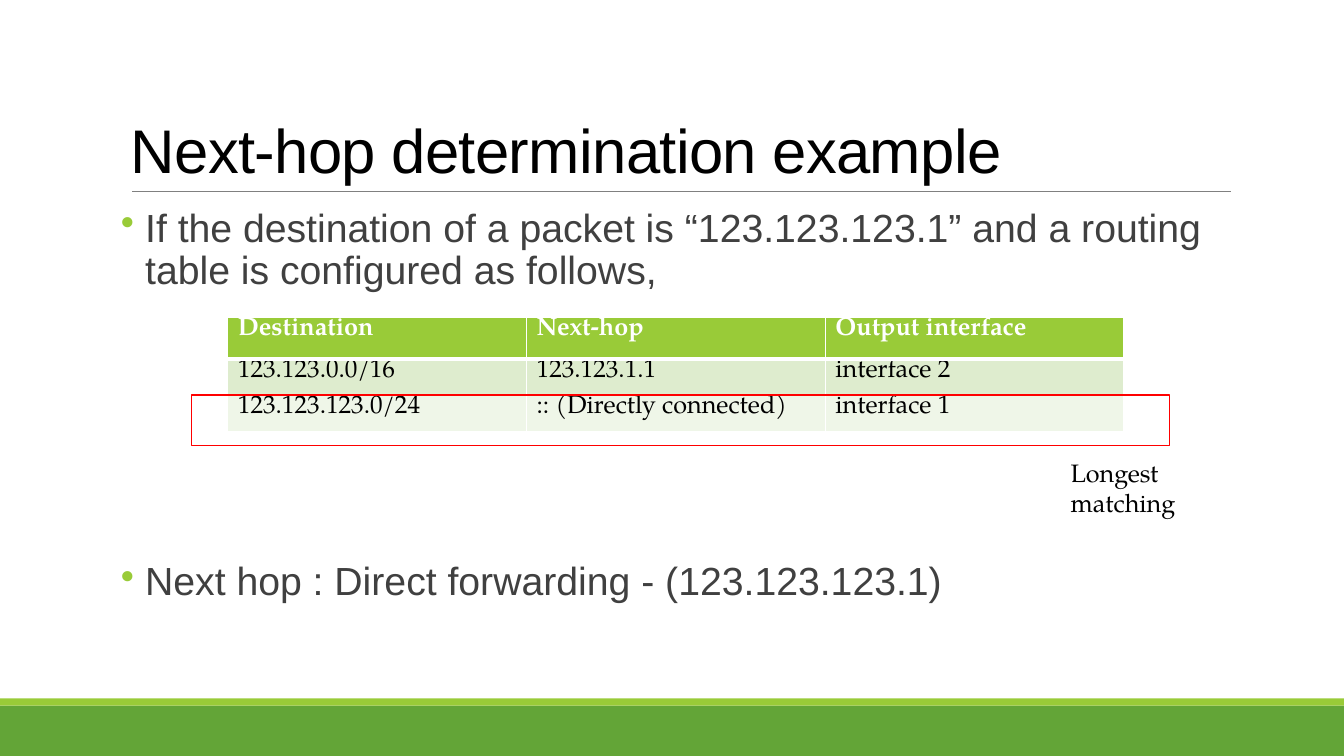
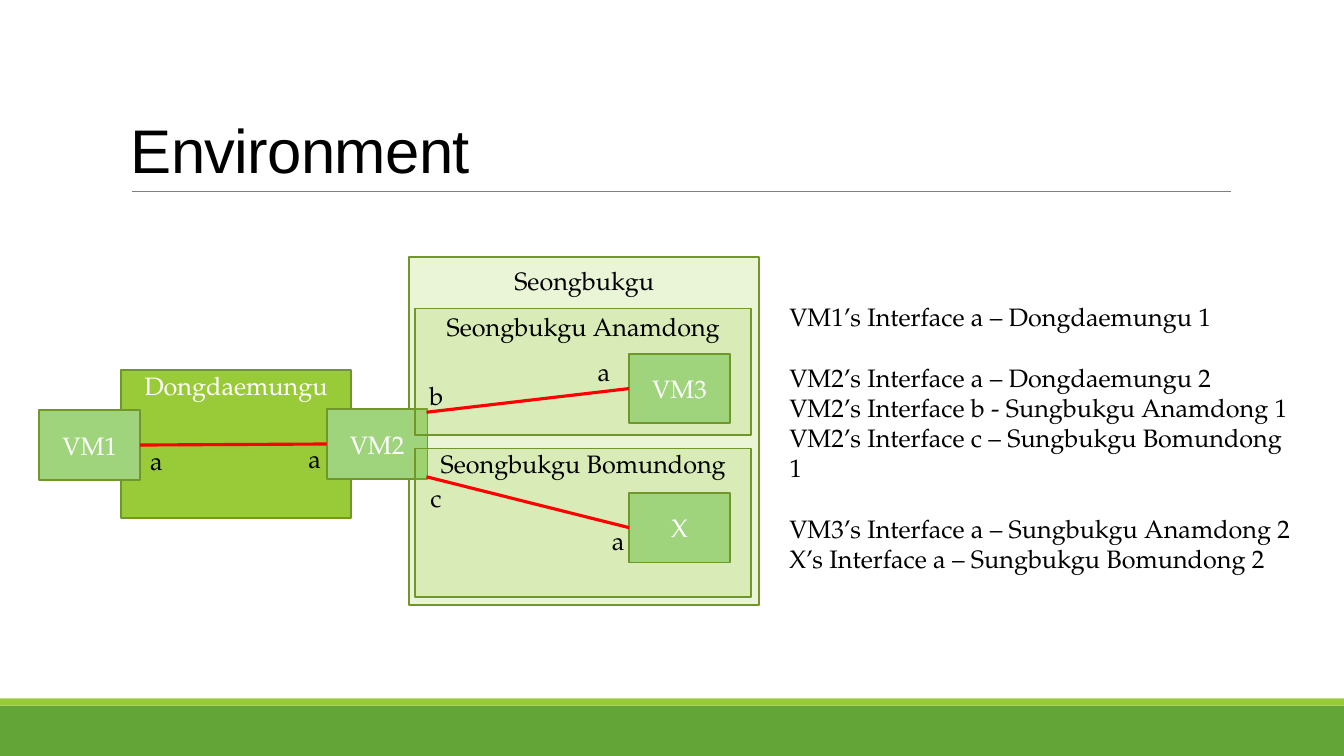
"""Builds two slides on next-hop routing and the test environment."""
from lxml import etree
from pptx import Presentation
from pptx.dml.color import RGBColor
from pptx.enum.shapes import MSO_CONNECTOR, MSO_SHAPE
from pptx.enum.text import MSO_ANCHOR, PP_ALIGN
from pptx.oxml.ns import qn
from pptx.util import Inches, Pt

RECTANGLE = MSO_SHAPE.RECTANGLE
STRAIGHT = MSO_CONNECTOR.STRAIGHT
TOP, MIDDLE, BOTTOM = MSO_ANCHOR.TOP, MSO_ANCHOR.MIDDLE, MSO_ANCHOR.BOTTOM
CENTER = PP_ALIGN.CENTER
LEFT_SIDE, RIGHT_SIDE = 1, 3

COLORS = {
    "white": "FFFFFF", "black": "000000", "body": "404040", "rule": "808080",
    "green": "63A537", "lime": "99CB38", "outline": "719629",
    "machine": "9FD47D", "red": "FF0000",
    "row_dark": "DEECCE", "row_light": "EFF6E8",
}
HEADING_FONT = "Arial"
TEXT_FONT = "TeX Gyre Pagella"


def rgb(name):
    return RGBColor.from_string(COLORS[name])


class Deck:
    def __init__(self):
        self.presentation = Presentation()
        self.presentation.slide_width = Inches(13.33)
        self.presentation.slide_height = Inches(7.5)
        self.slide = None

    def new_slide(self, title):
        layout = self.presentation.slide_layouts[6]
        self.slide = self.presentation.slides.add_slide(layout)
        self.rectangle(0, 7, 13.33, 0.5, fill="green")
        self.rectangle(0, 6.93, 13.33, 0.07, fill="lime")
        self.line((1.31, 1.9), (12.21, 1.9), "rule", 0.5)
        frame = self.text_frame(1.2, 0.31, 11, 1.59)
        frame.vertical_anchor = BOTTOM
        paragraph = frame.paragraphs[0]
        paragraph.line_spacing = 0.85
        run = self.run(paragraph, title, "black", 44, HEADING_FONT)
        run.font._element.set("spc", "-50")

    def run(self, paragraph, text, color="black", size=18, font=TEXT_FONT, bold=False):
        run = paragraph.add_run()
        run.text = text
        run.font.name = font
        run.font.size = Pt(size)
        run.font.bold = bold
        run.font.color.rgb = rgb(color)
        return run

    def text_frame(self, left, top, width, height):
        box = self.slide.shapes.add_textbox(
            Inches(left), Inches(top), Inches(width), Inches(height))
        box.text_frame.word_wrap = True
        return box.text_frame

    def rectangle(self, left, top, width, height, fill=None, line=None, opacity=None):
        shape = self.slide.shapes.add_shape(
            RECTANGLE, Inches(left), Inches(top), Inches(width), Inches(height))
        shape.shadow.inherit = False
        if fill:
            shape.fill.solid()
            shape.fill.fore_color.rgb = rgb(fill)
        else:
            shape.fill.background()
        if opacity:
            color = shape._element.spPr.find(qn("a:solidFill"))[0]
            etree.SubElement(color, qn("a:alpha"), val=str(opacity * 1000))
        if line:
            shape.line.color.rgb = rgb(line)
            shape.line.width = Pt(1.25)
        else:
            shape.line.fill.background()
        return shape

    def labelled(self, text, bounds, fill, color, opacity=None, inset=None):
        shape = self.rectangle(*bounds, fill, "outline", opacity)
        frame = shape.text_frame
        frame.vertical_anchor = MIDDLE
        if inset is not None:
            frame.vertical_anchor = TOP
            frame.margin_top = Inches(inset)
        paragraph = frame.paragraphs[0]
        paragraph.alignment = CENTER
        self.run(paragraph, text, color)
        return shape

    def region(self, text, bounds, inset):
        return self.labelled(text, bounds, "lime", "black", 20, inset)

    def machine(self, text, left, top):
        return self.labelled(text, (left, top, 1, 0.69), "machine", "white")

    def line(self, start, end, color="red", width=2.25):
        points = [Inches(value) for value in (*start, *end)]
        connector = self.slide.shapes.add_connector(STRAIGHT, *points)
        connector.line.color.rgb = rgb(color)
        connector.line.width = Pt(width)
        etree.SubElement(connector._element.spPr, qn("a:effectLst"))
        return connector

    def bullets(self, bounds, texts, gap):
        frame = self.text_frame(*bounds)
        frame.margin_left = frame.margin_right = 0
        for index, text in enumerate(texts):
            paragraph = frame.add_paragraph() if index else frame.paragraphs[0]
            paragraph.line_spacing = 0.9
            paragraph.space_before = Pt(gap if index else 0)
            properties = paragraph._p.get_or_add_pPr()
            properties.set("marL", str(Inches(0.24)))
            properties.set("indent", str(-Inches(0.24)))
            bullet_color = etree.SubElement(properties, qn("a:buClr"))
            etree.SubElement(bullet_color, qn("a:srgbClr"), val=COLORS["lime"])
            etree.SubElement(properties, qn("a:buChar"), char="•")
            self.run(paragraph, text, "body", 28, HEADING_FONT)

    def note(self, left, top, width, height, groups):
        frame = self.text_frame(left, top, width, height)
        paragraph = None
        for group in groups:
            for index, text in enumerate(group):
                first = paragraph is None
                paragraph = frame.paragraphs[0] if first else frame.add_paragraph()
                if index == 0 and not first:
                    paragraph.space_before = Pt(21.6)
                self.run(paragraph, text)

    def table(self, left, top, width, heights, rows):
        table = self.slide.shapes.add_table(
            len(rows), len(rows[0]), Inches(left), Inches(top),
            Inches(width), Inches(sum(heights))).table
        for column in table.columns:
            column.width = Inches(width / len(rows[0]))
        fills = ["lime", "row_dark", "row_light"]
        for row_index, texts in enumerate(rows):
            table.rows[row_index].height = Inches(heights[row_index])
            header = row_index == 0
            for column_index, text in enumerate(texts):
                cell = table.cell(row_index, column_index)
                cell.margin_top = 0
                cell.margin_bottom = Inches(0.05)
                self.borders(cell, {"L": 1, "R": 1, "T": 3 if row_index == 1 else 1,
                                    "B": 3 if header else 1})
                cell.fill.solid()
                cell.fill.fore_color.rgb = rgb(fills[row_index])
                self.run(cell.text_frame.paragraphs[0], text,
                         "white" if header else "black", bold=header)

    def borders(self, cell, widths):
        properties = cell._tc.get_or_add_tcPr()
        for side, width in widths.items():
            border = etree.SubElement(properties, qn(f"a:ln{side}"), w=str(Pt(width)))
            fill = etree.SubElement(border, qn("a:solidFill"))
            etree.SubElement(fill, qn("a:srgbClr"), val=COLORS["white"])


def next_hop_slide(deck):
    deck.new_slide("Next-hop determination example")
    deck.bullets((1.2, 2.02, 11, 4.4), [
        "If the destination of a packet is “123.123.123.1” and a routing "
        "table is configured as follows,",
        "Next hop : Direct forwarding - (123.123.123.1)",
    ], gap=192)
    deck.table(2.26, 3.15, 8.89, [0.41, 0.36, 0.36], [
        ["Destination", "Next-hop", "Output interface"],
        ["123.123.0.0/16", "123.123.1.1", "interface 2"],
        ["123.123.123.0/24", ":: (Directly connected)", "interface 1"],
    ])
    deck.rectangle(1.9, 3.92, 9.7, 0.5, line="red")
    deck.note(10.52, 4.49, 1.4, 0.7, [["Longest matching"]])


def environment_slide(deck):
    deck.new_slide("Environment")
    deck.region("Seongbukgu", (4.06, 2.55, 3.47, 3.45), 0.08)
    deck.labelled("Dongdaemungu", (1.2, 3.67, 2.28, 1.47), "lime", "white", inset=0)
    first = deck.machine("VM1", 0.39, 4.07)
    second = deck.machine("VM2", 3.24, 4.06)
    link = deck.line((1.39, 4.41), (3.24, 4.41))
    link.begin_connect(first, RIGHT_SIDE)
    link.end_connect(second, LEFT_SIDE)

    branches = [
        ("Seongbukgu Anamdong", 3.06, 1.26, 0.03, "VM3", 3.51, 4.09),
        ("Seongbukgu Bomundong", 4.45, 1.47, 0, "X", 4.89, 4.73),
    ]
    for name, top, height, inset, machine_name, machine_top, link_start in branches:
        deck.region(name, (4.12, top, 3.33, height), inset)
        machine = deck.machine(machine_name, 6.24, machine_top)
        link = deck.line((4.23, link_start), (6.24, machine_top + 0.34))
        link.end_connect(machine, LEFT_SIDE)

    interface_labels = [
        ("a", 1.39, 4.37), ("a", 2.96, 4.35), ("b", 4.16, 3.72),
        ("c", 4.17, 4.74), ("a", 5.83, 3.49), ("a", 5.97, 5.16),
    ]
    for text, left, top in interface_labels:
        deck.note(left, top, 0.36, 0.4, [[text]])
    deck.note(7.73, 2.94, 5.22, 2.82, [
        ["VM1’s Interface a – Dongdaemungu 1"],
        ["VM2’s Interface a – Dongdaemungu 2",
         "VM2’s Interface b - Sungbukgu Anamdong 1",
         "VM2’s Interface c – Sungbukgu Bomundong 1"],
        ["VM3’s Interface a – Sungbukgu Anamdong 2",
         "X’s Interface a – Sungbukgu Bomundong 2"],
    ])


def main():
    deck = Deck()
    next_hop_slide(deck)
    environment_slide(deck)
    deck.presentation.save("out.pptx")


if __name__ == "__main__":
    main()
